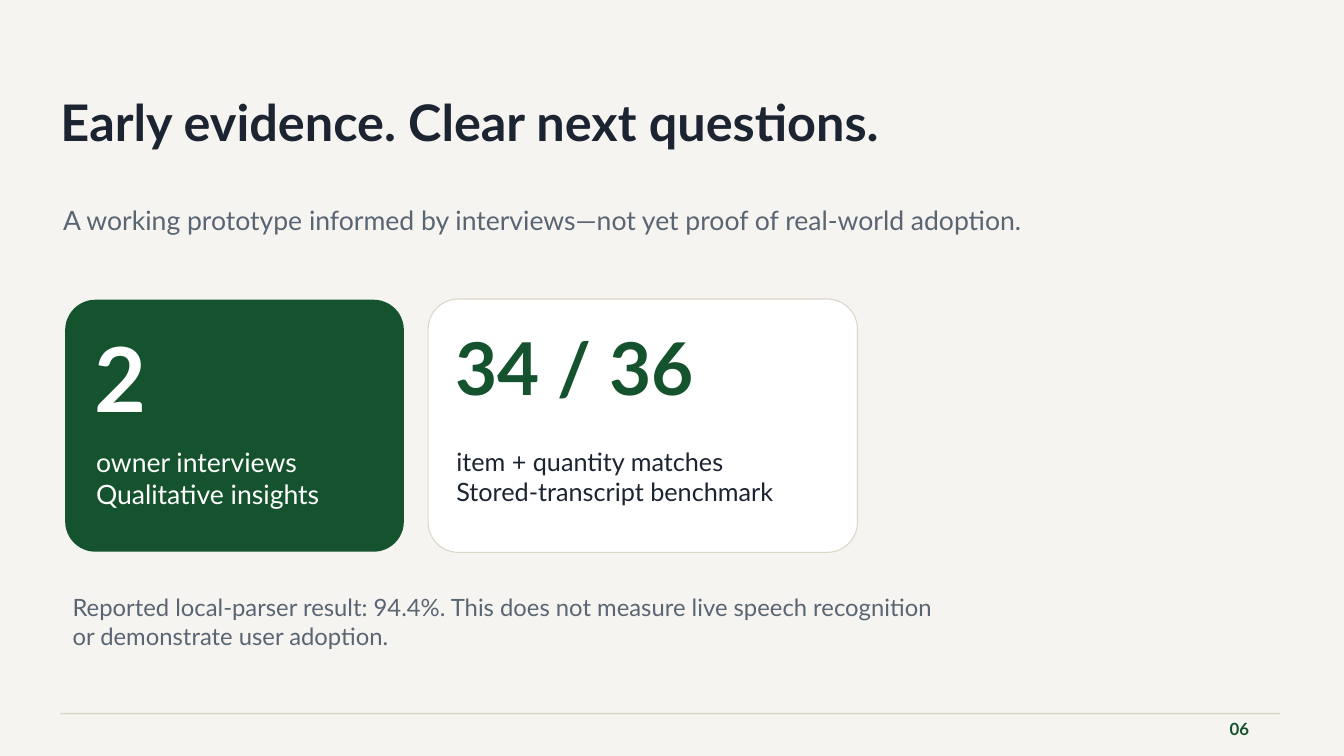
from dataclasses import dataclass

from pptx import Presentation
from pptx import util as u
from pptx.dml import color
from pptx.enum import shapes, text


@dataclass(frozen=True)
class Theme:
    font: str = "Lato"
    paper: str = "F6F4F0"
    green: str = "14532D"
    ink: str = "1B2430"
    gray: str = "596573"
    white: str = "FFFFFF"
    rule: str = "DCD6C8"
    title: float = 54
    lead: float = 28.5
    count: float = 96
    score: float = 78
    label: float = 27
    note: float = 25.5
    page: float = 18


theme = Theme()
rgb = color.RGBColor.from_string

deck = Presentation()
deck.slide_width = u.Inches(20)
deck.slide_height = u.Inches(11.25)
slide = deck.slides.add_slide(deck.slide_layouts[6])
slide.background.fill.solid()
slide.background.fill.fore_color.rgb = rgb(theme.paper)


def write(words, box, size, tint, bold=False):
    area = slide.shapes.add_textbox(*map(u.Inches, box))
    frame = area.text_frame
    frame.word_wrap = True
    frame.auto_size = text.MSO_AUTO_SIZE.SHAPE_TO_FIT_TEXT
    frame.margin_left = frame.margin_right = 0
    frame.margin_top = frame.margin_bottom = 0
    frame.text = words
    for para in frame.paragraphs:
        para.line_spacing = u.Pt(size * 1.2)
        para.font.name = theme.font
        para.font.size = u.Pt(size)
        para.font.bold = bold
        para.font.color.rgb = rgb(tint)


def panel(kind, box, fill, edge=None):
    shape = slide.shapes.add_shape(kind, *map(u.Inches, box))
    shape.shadow.inherit = False
    shape.fill.solid()
    shape.fill.fore_color.rgb = rgb(fill)
    if edge:
        shape.line.color.rgb = rgb(edge)
        shape.line.width = u.Pt(1.13)
    else:
        shape.line.fill.background()
    return shape


panel(shapes.MSO_SHAPE.RECTANGLE, (0.9, 10.61, 18.15, 0.02), theme.rule)
write("06", (18.3, 10.7, 0.9, 0.38), theme.page, theme.green, bold=True)

write("Early evidence. Clear next questions.", (0.9, 1.35, 18.07, 1.98),
      theme.title, theme.ink, bold=True)
write("A working prototype informed by interviews—not yet proof of real-world adoption.",
      (0.94, 3.04, 17.85, 0.82), theme.lead, theme.gray)

cards = [
    ((0.97, 4.46, 5.04, 3.75), theme.green, None,
     "2", (1.41, 4.81, 4.05, 1.55), theme.count, theme.white,
     "owner interviews\nQualitative insights",
     (1.43, 6.64, 4.02, 1.02), theme.lead, theme.white),
    ((6.37, 4.45, 6.39, 3.77), theme.white, theme.rule,
     "34 / 36", (6.78, 4.8, 5.7, 1.56), theme.score, theme.green,
     "item + quantity matches\nStored-transcript benchmark",
     (6.79, 6.64, 5.55, 1.05), theme.label, theme.ink),
]
for box, fill, edge, stat, top, big, hue, label, low, small, tint in cards:
    card = panel(shapes.MSO_SHAPE.ROUNDED_RECTANGLE, box, fill, edge)
    card.adjustments[0] = 0.45 / box[3]
    write(stat, top, big, hue, bold=True)
    write(label, low, small, tint)

write("Reported local-parser result: 94.4%. This does not measure live speech recognition\n"
      "or demonstrate user adoption.",
      (1.08, 8.82, 17.85, 1.05), theme.note, theme.gray)

deck.save("out.pptx")
